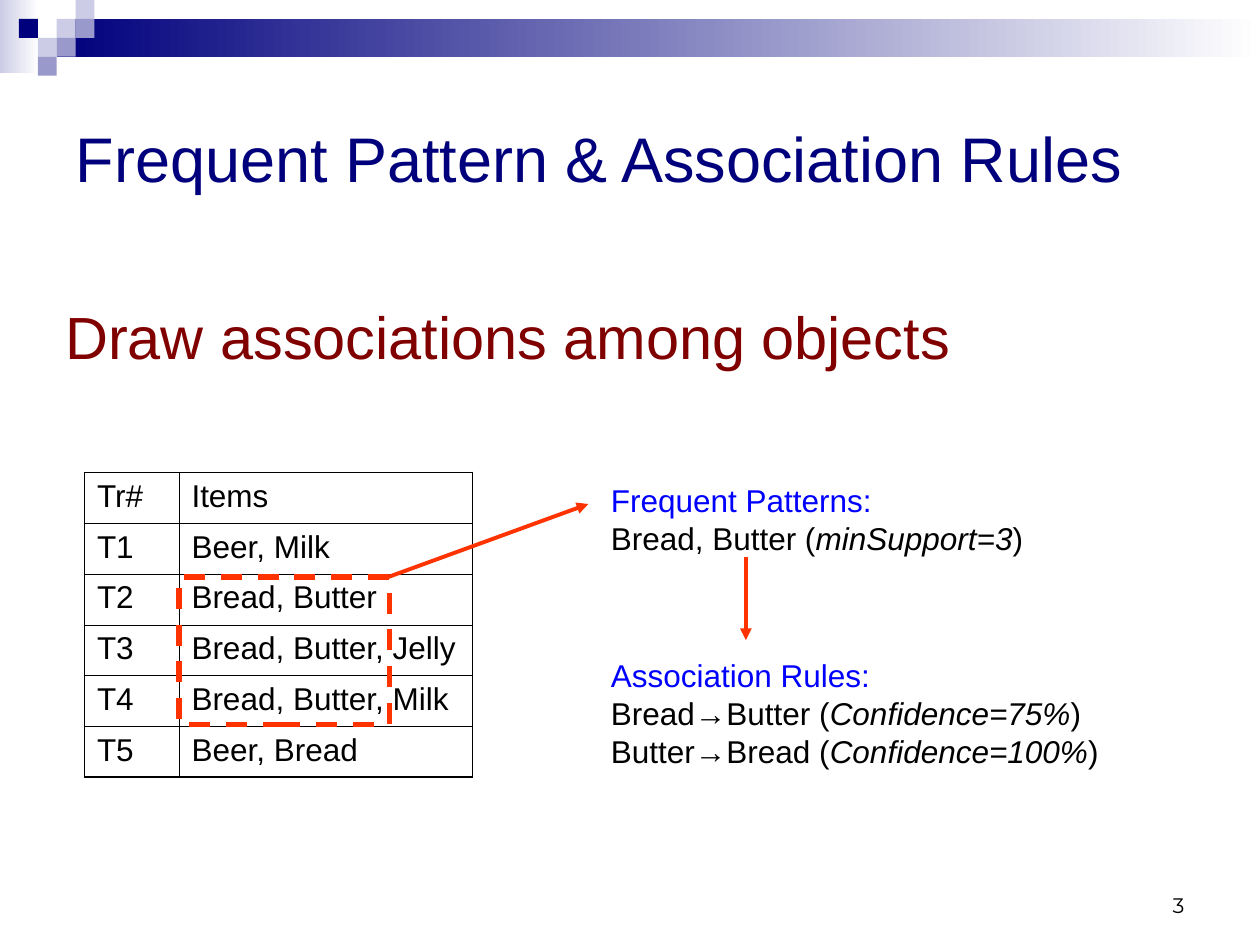
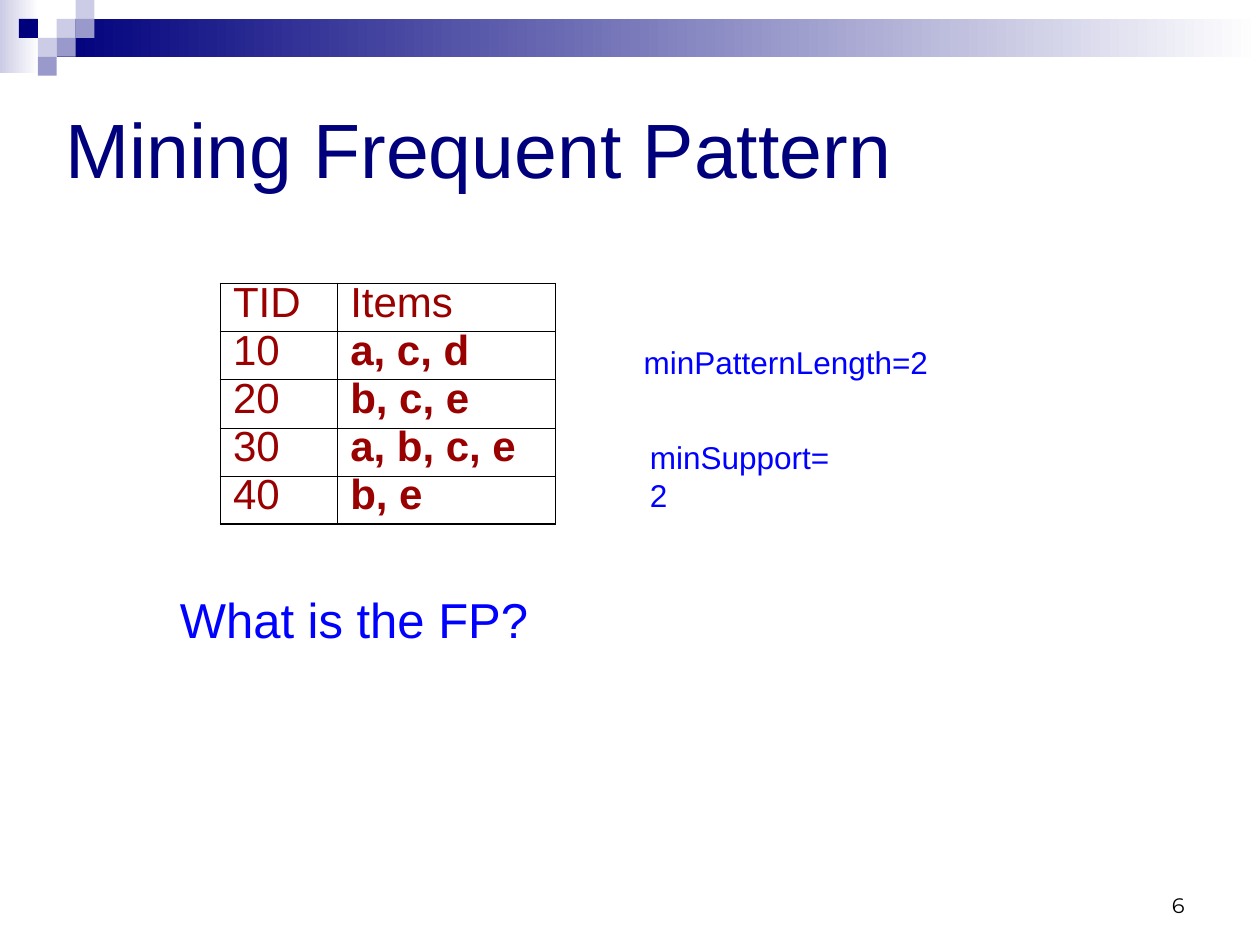
from lxml.etree import SubElement
from pptx import Presentation
from pptx.dml.color import RGBColor
from pptx.enum.dml import MSO_LINE
from pptx.enum.shapes import MSO_CONNECTOR, MSO_SHAPE
from pptx.enum.text import MSO_ANCHOR, MSO_AUTO_SIZE, PP_ALIGN
from pptx.oxml.ns import qn
from pptx.util import Inches, Pt

NAVY = RGBColor(0x00, 0x00, 0x7D)
LAVENDER = RGBColor(0xCC, 0xCC, 0xE6)
PERIWINKLE = RGBColor(0x99, 0x99, 0xCC)
WHITE = RGBColor(0xFF, 0xFF, 0xFF)
BLACK = RGBColor(0x00, 0x00, 0x00)
BLUE = RGBColor(0x00, 0x00, 0xFF)
MAROON = RGBColor(0x80, 0x00, 0x00)
DARK_RED = RGBColor(0x99, 0x00, 0x00)
ORANGE = RGBColor(0xFF, 0x33, 0x00)

# Header band: gradient bars in inches, squares as (column, row) of a grid
BARS = [((0, 0, 0.31, 0.58), LAVENDER), ((0.45, 0.15, 9.55, 0.3), NAVY)]
SQUARE = 0.15
SQUARES = [
    (3, 1, LAVENDER), (4, 0, LAVENDER), (4, 1, PERIWINKLE), (2, 2, LAVENDER),
    (1, 1, NAVY), (3, 2, PERIWINKLE), (2, 3, PERIWINKLE),
]
NUMBER_BOX = (7.17, 6.83, 2.33, 0.5)
OUTER_LINE, INNER_LINE = 1.08, 0.45

LABEL = {"size": Pt(18), "color": BLUE}
BODY = {"size": Pt(18), "color": BLACK}
VALUE = {**BODY, "italic": True}

# A text is (box, wraps, paragraphs); a paragraph is a list of (words, format)
SLIDES = [
    {
        "number": "3",
        "title": ("Frequent Pattern & Association Rules", (0.5, 0.5, 9.17, 1.5), 36),
        "table": {
            "box": (0.67, 3.75, 3.08, 2.42),
            "columns": (0.75, 2.33),
            "rows": [
                ("Tr#", "Items"), ("T1", "Beer, Milk"), ("T2", "Bread, Butter"),
                ("T3", "Bread, Butter, Jelly"), ("T4", "Bread, Butter, Milk"),
                ("T5", "Beer, Bread"),
            ],
            "format": BODY,
            "items_bold": False,
            "anchor": MSO_ANCHOR.TOP,
            "line_spacing": 1.0,
        },
        "highlight": (1.42, 4.58, 1.67, 1.17),
        "arrows": [((3.08, 4.58), (4.67, 4)), ((5.92, 4.42), (5.92, 5.08))],
        "texts": [
            ((4.75, 3.77, 3.47, 0.7), False, [
                [("Frequent Patterns:", LABEL)],
                [("Bread, Butter (", BODY), ("minSupport=3", VALUE), (")", BODY)],
            ]),
            ((4.75, 5.16, 4.42, 1), True, [
                [("Association Rules:", LABEL)],
                [("Bread→Butter (", BODY), ("Confidence=75%", VALUE), (")", BODY)],
                [("Butter→Bread (", BODY), ("Confidence=100%", VALUE), (")", BODY)],
            ]),
        ],
        "statement": ("Draw associations among objects", (0.42, 2, 9.17, 1)),
    },
    {
        "number": "6",
        "title": ("Mining Frequent Pattern", (0.42, 0.42, 9, 1.5), 44),
        "table": {
            "box": (1.75, 2.25, 2.67, 1.91),
            "columns": (0.93, 1.73),
            "rows": [
                ("TID", "Items"), ("10", "a, c, d"), ("20", "b, c, e"),
                ("30", "a, b, c, e"), ("40", "b, e"),
            ],
            "format": {"size": Pt(24), "color": DARK_RED},
            "items_bold": True,
            "anchor": MSO_ANCHOR.MIDDLE,
            "line_spacing": 0.7,
        },
        "texts": [
            ((5.01, 2.67, 2.46, 0.4), False, [[("minPatternLength=2", LABEL)]]),
            ((5.06, 3.43, 1.76, 0.4), False, [[("minSupport=2", LABEL)]]),
            ((1.33, 4.63, 2.97, 0.57), True,
             [[("What is the FP?", {"size": Pt(28), "color": BLUE})]]),
        ],
    },
]


def inches(values):
    return [Inches(value) for value in values]


def add_run(paragraph, words, text_format):
    run = paragraph.add_run()
    run.text = words
    for name, value in {"name": "Arial", **text_format}.items():
        if name == "color":
            run.font.color.rgb = value
        else:
            setattr(run.font, name, value)


def add_text(slide, box, wraps, paragraphs):
    """Add a text box and return its text frame."""
    frame = slide.shapes.add_textbox(*inches(box)).text_frame
    frame.word_wrap = wraps
    for index, runs in enumerate(paragraphs):
        paragraph = frame.add_paragraph() if index else frame.paragraphs[0]
        for words, text_format in runs:
            add_run(paragraph, words, text_format)
    return frame


def add_rectangle(slide, box):
    shape = slide.shapes.add_shape(MSO_SHAPE.RECTANGLE, *inches(box))
    shape.shadow.inherit = False
    return shape


def add_header_band(slide, master):
    """Draw the band on a slide, then move it to the back of the master."""
    band = []
    for box, color in BARS:
        bar = add_rectangle(slide, box)
        bar.fill.gradient()
        bar.fill.gradient_angle = 0
        for stop, stop_color, position in zip(
                bar.fill.gradient_stops, (color, WHITE), (0, 1)):
            stop.color.rgb = stop_color
            stop.position = position
        band.append(bar)
    for column, row, color in SQUARES:
        square = add_rectangle(
            slide, (column * SQUARE, row * SQUARE, SQUARE, SQUARE))
        square.fill.solid()
        square.fill.fore_color.rgb = color
        band.append(square)
    for index, shape in enumerate(band, start=2):
        shape.line.fill.background()
        master.shapes.element.insert(index, shape.element)


def add_title(slide, words, box, size):
    title = slide.shapes.title
    title.left, title.top, title.width, title.height = inches(box)
    frame = title.text_frame
    frame.auto_size = MSO_AUTO_SIZE.NONE
    frame.vertical_anchor = MSO_ANCHOR.MIDDLE
    paragraph = frame.paragraphs[0]
    paragraph.alignment = PP_ALIGN.LEFT
    add_run(paragraph, words, {"size": Pt(size), "color": NAVY})


def set_borders(cell, outer_sides):
    properties = cell._tc.get_or_add_tcPr()
    for side in "LRTB":
        width = OUTER_LINE if side in outer_sides else INNER_LINE
        line = SubElement(properties, qn(f"a:ln{side}"), w=str(Pt(width)))
        fill = SubElement(line, qn("a:solidFill"))
        SubElement(fill, qn("a:srgbClr"), val=str(BLACK))


def add_transactions(slide, content):
    """Add the table of transactions and their items."""
    rows, columns = content["rows"], content["columns"]
    table = slide.shapes.add_table(
        len(rows), len(columns), *inches(content["box"])).table
    table.first_row = table.horz_banding = False
    for column, width in zip(table.columns, columns):
        column.width = Inches(width)
    for row_index, row in enumerate(rows):
        table.rows[row_index].height = Inches(content["box"][3] / len(rows))
        for column_index, words in enumerate(row):
            cell = table.cell(row_index, column_index)
            outer_sides = "LR"[column_index]
            outer_sides += "T" if row_index == 0 else ""
            outer_sides += "B" if row_index == len(rows) - 1 else ""
            set_borders(cell, outer_sides)
            cell.fill.background()
            cell.vertical_anchor = content["anchor"]
            paragraph = cell.text_frame.paragraphs[0]
            paragraph.line_spacing = content["line_spacing"]
            bold = content["items_bold"] and row_index > 0 and column_index == 1
            add_run(paragraph, words, {**content["format"], "bold": bold})


def add_highlight(slide, box):
    frame = add_rectangle(slide, box)
    frame.fill.background()
    frame.line.color.rgb = ORANGE
    frame.line.width = Pt(3)
    frame.line.dash_style = MSO_LINE.DASH


def add_arrow(slide, start, end):
    arrow = slide.shapes.add_connector(
        MSO_CONNECTOR.STRAIGHT, *inches(start + end))
    arrow.line.color.rgb = ORANGE
    arrow.line.width = Pt(2.25)
    SubElement(arrow.line._get_or_add_ln(), qn("a:tailEnd"), type="triangle")
    SubElement(arrow.element.spPr, qn("a:effectLst"))


def add_statement(slide, words, box):
    frame = add_text(
        slide, box, True, [[(words, {"size": Pt(34), "color": MAROON})]])
    frame.margin_top = Inches(0.1)
    frame.paragraphs[0].line_spacing = 1.5


def add_slide_number(slide, number):
    number_format = {"name": "Montserrat", "size": Pt(12), "color": BLACK}
    frame = add_text(slide, NUMBER_BOX, True, [[(number, number_format)]])
    frame.vertical_anchor = MSO_ANCHOR.BOTTOM
    frame.paragraphs[0].alignment = PP_ALIGN.RIGHT


def main():
    presentation = Presentation()
    presentation.slide_width, presentation.slide_height = inches((10, 7.5))
    title_only = presentation.slide_layouts[5]
    for index, content in enumerate(SLIDES):
        slide = presentation.slides.add_slide(title_only)
        if index == 0:
            add_header_band(slide, presentation.slide_master)
        add_slide_number(slide, content["number"])
        add_title(slide, *content["title"])
        if "statement" in content:
            add_statement(slide, *content["statement"])
        add_transactions(slide, content["table"])
        if "highlight" in content:
            add_highlight(slide, content["highlight"])
        for start, end in content.get("arrows", []):
            add_arrow(slide, start, end)
        for box, wraps, paragraphs in content["texts"]:
            add_text(slide, box, wraps, paragraphs)
    presentation.save("out.pptx")


if __name__ == "__main__":
    main()
